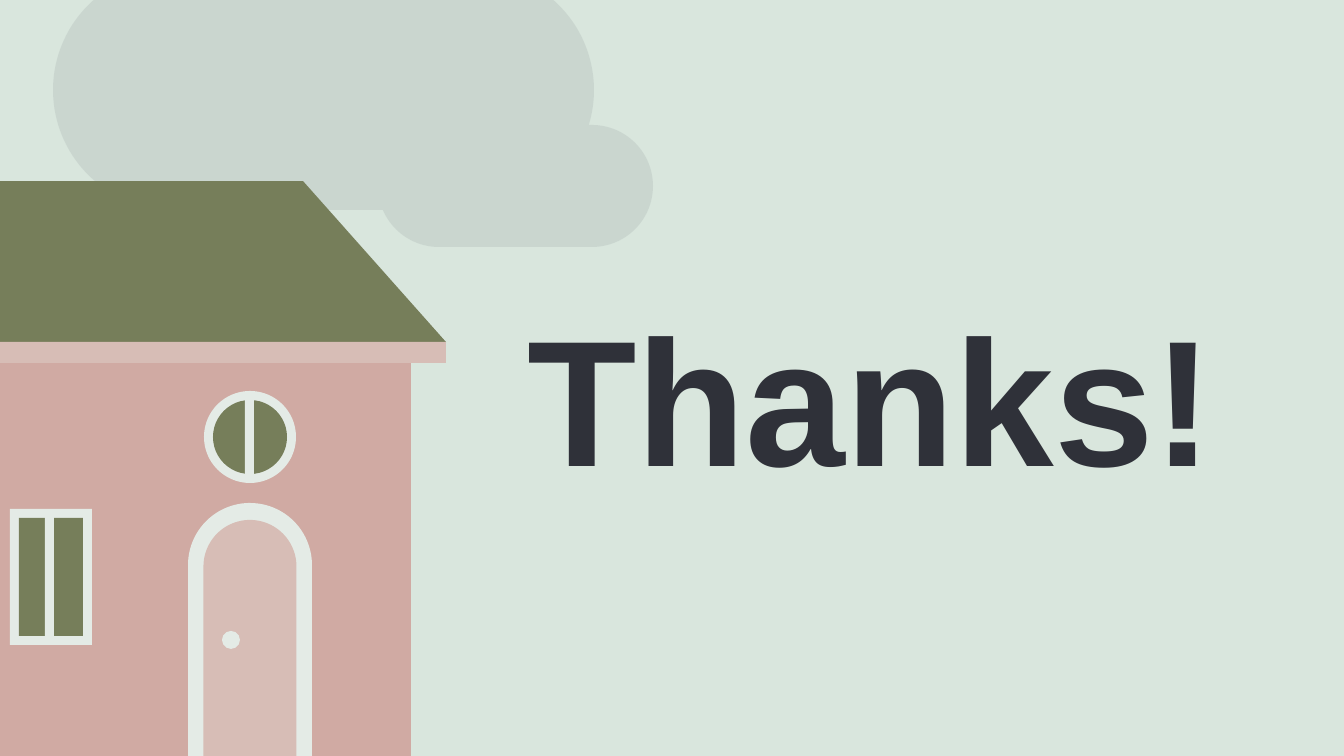
from math import asin, cos, degrees, radians, sin

from pptx import Presentation
from pptx.dml.color import RGBColor
from pptx.enum.shapes import MSO_SHAPE as Preset
from pptx.enum.text import MSO_ANCHOR as Anchor, PP_ALIGN as Align
from pptx.oxml.ns import qn
from pptx.util import Pt
from lxml import etree

SCALE = 914400 / 134.4  # EMU per px
WIDTH, HEIGHT = 1344, 756
SKY, CLOUD, INK = "D9E6DD", "BEC9C4", "2F3139"
WALL, TRIM, GREEN, PALE = "D0AAA3", "D7BDB6", "767E5A", "E4EBE6"


def emu(px):
    return round(px * SCALE)


def color(value):
    return RGBColor.from_string(value)


def arc(center_x, center_y, radius, start, end, steps=60):
    """Points on a circle, from start to end in degrees, clockwise from the right."""
    angles = [radians(start + (end - start) * i / steps) for i in range(steps + 1)]
    return [(center_x + radius * cos(a), center_y + radius * sin(a)) for a in angles]


class Painter:
    def __init__(self, presentation):
        self.slide = presentation.slides.add_slide(presentation.slide_layouts[6])
        self.font = {"name": "Arial", "size": Pt(96), "bold": True}

    def background(self, fill):
        background_fill = self.slide.background.fill
        background_fill.solid()
        background_fill.fore_color.rgb = color(fill)

    def paint(self, shape, fill, opacity=100):
        shape.shadow.inherit = False
        shape.line.fill.background()
        shape.fill.solid()
        shape.fill.fore_color.rgb = color(fill)
        if opacity < 100:
            element = shape.fill._xPr.find(f".//{qn('a:srgbClr')}")
            etree.SubElement(element, qn("a:alpha"), val=str(opacity * 1000))

    def shape(self, preset, left, top, width, height, fill, adjustment=None):
        shape = self.slide.shapes.add_shape(preset, *map(emu, (left, top, width, height)))
        if adjustment is not None:
            shape.adjustments[0] = adjustment
        self.paint(shape, fill)

    def rectangle(self, *box_and_fill):
        self.shape(Preset.RECTANGLE, *box_and_fill)

    def circle(self, center_x, center_y, radius, fill):
        self.shape(Preset.OVAL, center_x - radius, center_y - radius,
                   2 * radius, 2 * radius, fill)

    def arch(self, center_x, top, width, fill):
        """Round-topped panel that stands on the bottom edge of the slide."""
        self.shape(Preset.ROUND_2_SAME_RECTANGLE, center_x - width / 2, top,
                   width, HEIGHT - top, fill, 0.5)

    def outline(self, points, fill, opacity):
        scaled = [(emu(x), emu(y)) for x, y in points]
        builder = self.slide.shapes.build_freeform(*scaled[0])
        builder.add_line_segments(scaled[1:], close=True)
        self.paint(builder.convert_to_shape(), fill, opacity)

    def title(self, text, left, top, width, height):
        frame = self.slide.shapes.add_textbox(
            *map(emu, (left, top, width, height))).text_frame
        layout = {"word_wrap": True, "vertical_anchor": Anchor.MIDDLE}
        layout |= {f"margin_{side}": emu(13) for side in ("left", "top", "right", "bottom")}
        for name, value in layout.items():
            setattr(frame, name, value)
        paragraph = frame.paragraphs[0]
        paragraph.alignment = Align.CENTER
        run = paragraph.add_run()
        run.text = text
        for name, value in self.font.items():
            setattr(run.font, name, value)
        run.font.color.rgb = color(INK)


def draw_cloud(painter):
    """Outline of a large pill joined to a small one at its lower right."""
    large, small = 120, 61
    large_y, small_y = 90, 186
    upper_joint = degrees(asin((small_y - small - large_y) / large))
    lower_joint = 180 - degrees(asin((large_y + large - small_y) / small))
    points = (arc(474, large_y, large, upper_joint, -90)
              + arc(173, large_y, large, -90, -270)
              + arc(439, small_y, small, lower_joint, 90)
              + arc(592, small_y, small, 90, -90))
    painter.outline(points, CLOUD, 53)


def draw_house(painter):
    door_x = 250
    painter.rectangle(-183, 342, 594, HEIGHT - 342, WALL)

    painter.rectangle(10, 509, 82, 136, PALE)
    painter.rectangle(19, 518, 64, 118, GREEN)
    painter.rectangle(45, 516, 9, 122, PALE)

    painter.arch(door_x, 503, 124, PALE)
    painter.arch(door_x, 520, 93, TRIM)
    painter.circle(231, 640, 9, PALE)

    painter.circle(door_x, 437, 46, PALE)
    painter.circle(door_x, 437, 37, GREEN)
    painter.rectangle(245, 395, 9, 86, PALE)

    painter.shape(Preset.TRAPEZOID, -218, 181, 664, 161, GREEN, 143 / 161)
    painter.rectangle(-218, 342, 664, 21, TRIM)


def main():
    presentation = Presentation()
    presentation.slide_width, presentation.slide_height = emu(WIDTH), emu(HEIGHT)
    painter = Painter(presentation)
    painter.background(SKY)
    draw_cloud(painter)
    painter.title("Thanks!", 397, 180, 947, 429)
    draw_house(painter)
    presentation.save("out.pptx")


if __name__ == "__main__":
    main()
